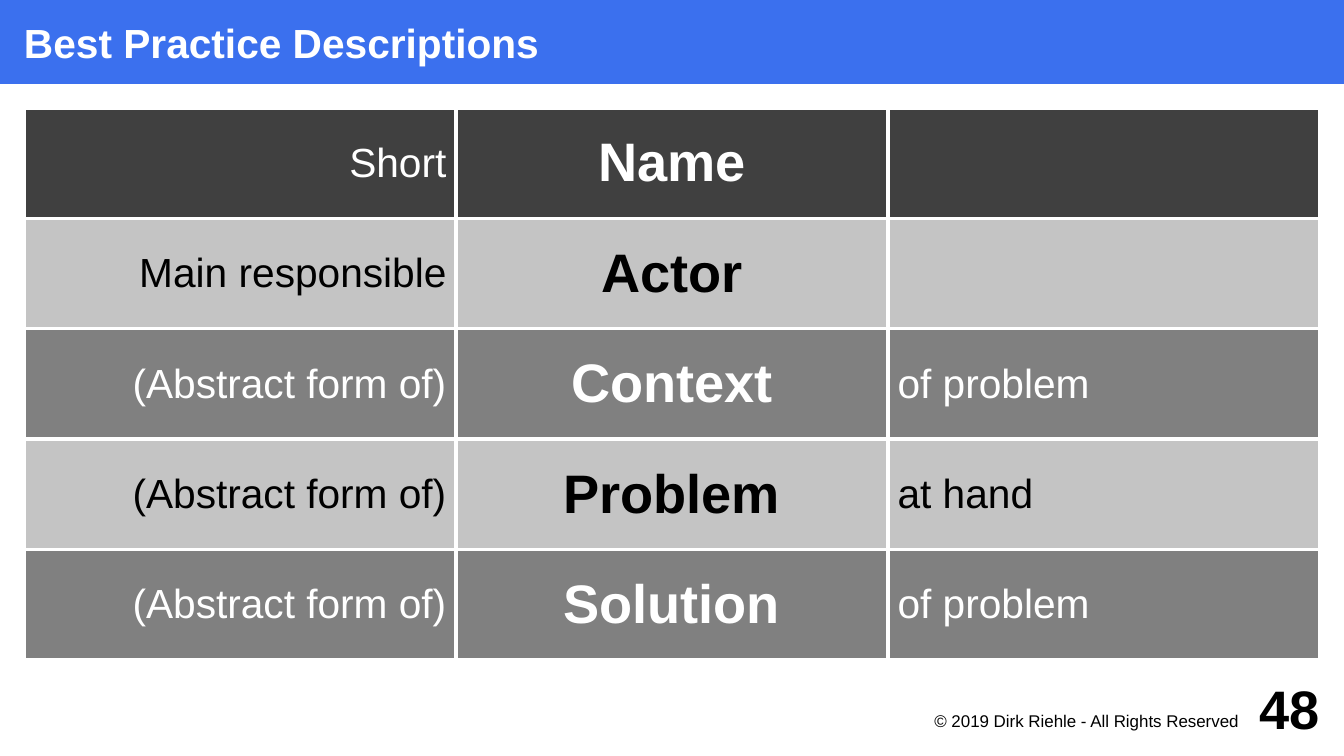
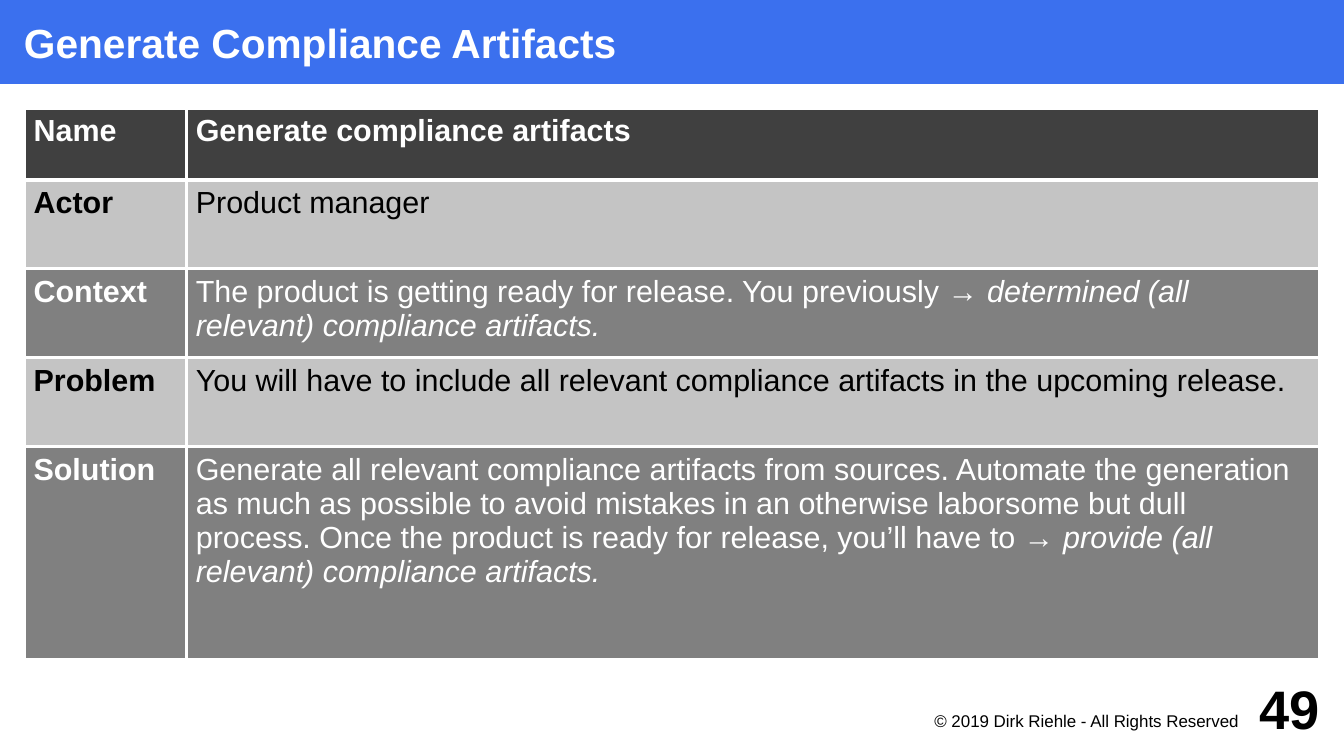
from dataclasses import dataclass

from lxml.etree import SubElement
from pptx import Presentation
from pptx.dml.color import RGBColor as Rgb
from pptx.enum.text import MSO_ANCHOR as Anchor, MSO_AUTO_SIZE as Fit, PP_ALIGN as Align
from pptx.oxml.ns import qn
from pptx.util import Cm, Pt


@dataclass(frozen=True)
class Theme:
    font: str = "Arial"
    blue: str = "3B70EE"
    white: str = "FFFFFF"
    black: str = "000000"
    dark: str = "404040"
    light: str = "C4C4C4"
    gray: str = "808080"
    title: int = 24
    label: int = 24
    key: int = 32
    body: int = 18
    note: int = 10
    page: int = 32
    rule: float = 2.27


LEFT, TOP, WIDE = 0.5, 2.25, 27
PAD = {"left": 0.2, "right": 0.2, "top": 0.13, "bottom": 0.13}
NOTE = "© 2019 Dirk Riehle - All Rights Reserved"


class Deck:
    def __init__(self, theme):
        self.theme = theme
        self.show = Presentation()
        self.show.slide_width, self.show.slide_height = Cm(28), Cm(15.75)
        self.slide = None

    def start(self, title, page):
        """Add a slide with its title band, footer note and page number."""
        t = self.theme
        self.slide = self.show.slides.add_slide(self.show.slide_layouts[5])
        self.band(title)
        self.text(NOTE, (18, 14.75, 8, 0.75), t.note, pad={"top": 0.05, "right": 0.2})
        self.text(str(page), (25.5, 14, 2, 1.5), t.page, bold=True, anchor=Anchor.MIDDLE)

    def band(self, title):
        t, shape = self.theme, self.slide.shapes.title
        self.place(shape, (0, 0, 28, 1.75))
        shape.fill.solid()
        shape.fill.fore_color.rgb = Rgb.from_string(t.blue)
        self.frame(shape.text_frame, {"left": LEFT}, Anchor.MIDDLE)
        self.words(shape.text_frame, [title], Align.LEFT, t.white, t.title, True)

    def text(self, words, box, size, bold=False, pad=None, anchor=Anchor.TOP):
        shape = self.slide.shapes.add_textbox(*map(Cm, box))
        self.frame(shape.text_frame, pad or {}, anchor)
        self.words(shape.text_frame, [words], Align.RIGHT, self.theme.black, size, bold)

    def grid(self, cols, rows, data, looks, anchor, head=False):
        """Add a table; each look gives a column's align, size and weight, head bolds row one."""
        t = self.theme
        table = self.slide.shapes.add_table(
            len(rows), len(cols), Cm(LEFT), Cm(TOP), Cm(WIDE), Cm(sum(rows))).table
        table.first_row = table.horz_banding = False
        for col, width in zip(table.columns, cols):
            col.width = Cm(width)
        for i, (row, high, items) in enumerate(zip(table.rows, rows, data)):
            row.height = Cm(high)
            fill = t.dark if i == 0 else t.light if i % 2 else t.gray
            ink = t.black if fill == t.light else t.white
            for cell, runs, (align, size, bold) in zip(row.cells, items, looks):
                self.paint(cell, fill, anchor)
                self.words(cell.text_frame, runs, align, ink, size, bold or (head and i == 0))

    def paint(self, cell, fill, anchor):
        """Give a cell its fill, padding and borders."""
        t = self.theme
        for side, gap in PAD.items():
            setattr(cell, f"margin_{side}", Cm(gap))
        cell.vertical_anchor = anchor
        props = cell._tc.get_or_add_tcPr()
        for side in "LRTB":
            line = SubElement(props, qn(f"a:ln{side}"), w=str(Pt(t.rule)))
            SubElement(SubElement(line, qn("a:solidFill")), qn("a:srgbClr"), val=t.white)
        cell.fill.solid()
        cell.fill.fore_color.rgb = Rgb.from_string(fill)

    def words(self, frame, runs, align, ink, size, bold):
        """Fill the first paragraph; every run after the first is italic."""
        para = frame.paragraphs[0]
        para.alignment = align
        for i, words in enumerate(runs):
            run = para.add_run()
            run.text = words
            form = {"name": self.theme.font, "size": Pt(size), "bold": bold, "italic": i > 0}
            for name, value in form.items():
                setattr(run.font, name, value)
            run.font.color.rgb = Rgb.from_string(ink)

    @staticmethod
    def place(shape, box):
        for name, value in zip(("left", "top", "width", "height"), box):
            setattr(shape, name, Cm(value))

    @staticmethod
    def frame(frame, pad, anchor):
        form = {"word_wrap": True, "auto_size": Fit.NONE, "vertical_anchor": anchor}
        form |= {f"margin_{side}": Cm(pad.get(side, 0)) for side in PAD}
        for name, value in form.items():
            setattr(frame, name, value)


def main():
    theme = Theme()
    deck = Deck(theme)

    deck.start("Best Practice Descriptions", 48)
    form = "(Abstract form of)"
    parts = [
        [["Short"], ["Name"], []],
        [["Main responsible"], ["Actor"], []],
        [[form], ["Context"], ["of problem"]],
        [[form], ["Problem"], ["at hand"]],
        [[form], ["Solution"], ["of problem"]],
    ]
    looks = [
        (Align.RIGHT, theme.label, False),
        (Align.CENTER, theme.key, True),
        (Align.LEFT, theme.label, False),
    ]
    deck.grid([WIDE / 3] * 3, [2.3] * 5, parts, looks, Anchor.MIDDLE)

    deck.start("Generate Compliance Artifacts", 49)
    facts = [
        [["Name"], ["Generate compliance artifacts"]],
        [["Actor"], ["Product manager"]],
        [["Context"], ["The product is getting ready for release. You previously → ",
                       "determined (all relevant) compliance artifacts."]],
        [["Problem"], ["You will have to include all relevant compliance artifacts "
                       "in the upcoming release."]],
        [["Solution"], ["Generate all relevant compliance artifacts from sources. "
                        "Automate the generation as much as possible to avoid mistakes "
                        "in an otherwise laborsome but dull process. Once the product is "
                        "ready for release, you’ll have to → ",
                        "provide (all relevant) compliance artifacts."]],
    ]
    looks = [(Align.LEFT, theme.body, True), (Align.LEFT, theme.body, False)]
    side = 3.38
    rows = [1.5, 1.85, 1.85, 1.85, 4.45]
    deck.grid([side, WIDE - side], rows, facts, looks, Anchor.TOP, head=True)

    deck.show.save("out.pptx")


if __name__ == "__main__":
    main()
